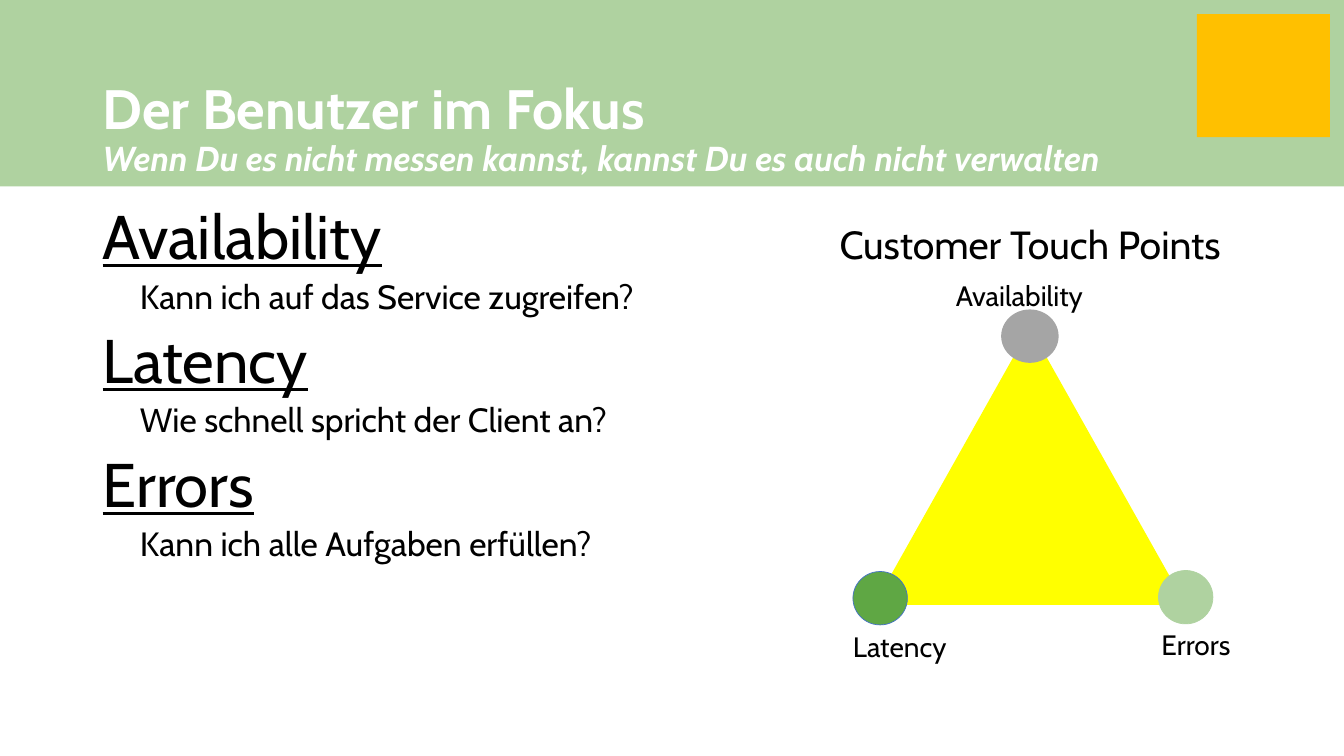
from pptx import Presentation
from pptx.dml.color import RGBColor
from pptx.enum.shapes import MSO_SHAPE
from pptx.enum.text import MSO_ANCHOR, PP_ALIGN
from pptx.util import Inches, Pt

FONT = "Cabin"
COLORS = {
    "white": "FFFFFF", "black": "000000", "header": "AFD2A0", "accent": "FFC000",
    "triangle": "FFFF00", "gray": "A5A5A5", "green": "5FA744", "blue": "4472C4",
}
QUESTIONS = [
    ("Availability", "Kann ich auf das Service zugreifen?"),
    ("Latency", "Wie schnell spricht der Client an?"),
    ("Errors", "Kann ich alle Aufgaben erfüllen?"),
]


def rgb(name):
    return RGBColor.from_string(COLORS[name])


def add_filled(slide, kind, x, y, w, h, fill, line=None):
    sp = slide.shapes.add_shape(kind, Inches(x), Inches(y), Inches(w), Inches(h))
    sp.shadow.inherit = False
    sp.fill.solid()
    sp.fill.fore_color.rgb = rgb(fill)
    if line:
        sp.line.color.rgb = rgb(line)
        sp.line.width = Pt(0.5)
    else:
        sp.line.fill.background()


def add_frame(slide, x, y, w, h, wrap=True, margins=True):
    tf = slide.shapes.add_textbox(Inches(x), Inches(y), Inches(w), Inches(h)).text_frame
    tf.word_wrap = wrap
    if not margins:
        tf.margin_left = tf.margin_right = tf.margin_top = tf.margin_bottom = 0
    return tf


def style(r, size, color="black", bold=None, italic=None, underline=None):
    f = r.font
    f.name, f.size, f.color.rgb = FONT, Pt(size), rgb(color)
    f.bold, f.italic, f.underline = bold, italic, underline


def add_header(slide, x, y, w, h):
    add_filled(slide, MSO_SHAPE.RECTANGLE, x, y, w, h, "header")
    tf = add_frame(slide, x + 0.92, y + 0.75, 11.5, 1.09)
    tf.vertical_anchor = MSO_ANCHOR.MIDDLE
    p = tf.paragraphs[0]
    p.text = ("Der Benutzer im Fokus\v"
              "Wenn Du es nicht messen kannst, kannst Du es auch nicht verwalten")
    p.line_spacing = 0.9
    title, subtitle = p.runs
    style(title, 39.6, "white", bold=True)
    style(subtitle, 24.7, "white", bold=True, italic=True)
    # Accent block in the right corner
    add_filled(slide, MSO_SHAPE.RECTANGLE, x + w - 1.46, y + 0.14, 1.32, 1.22, "accent")


def add_questions(slide, x, y, w, h):
    tf = add_frame(slide, x, y, w, h)
    for i, (term, question) in enumerate(QUESTIONS):
        p = tf.add_paragraph() if i else tf.paragraphs[0]
        p.text = term
        p.line_spacing = 0.9
        if i:
            p.space_before = Pt(10)
        style(p.runs[0], 44, underline=True)

        p = tf.add_paragraph()
        p.text = question
        p.level = 1
        p._p.get_or_add_pPr().set("marL", str(Inches(0.37)))
        p.line_spacing = 0.9
        p.space_before = Pt(5)
        style(p.runs[0], 24)


def add_touch_points(slide, x, y, w):
    # Heading
    tf = add_frame(slide, x, y, w, 0.58)
    p = tf.paragraphs[0]
    p.text = "Customer Touch Points"
    p.alignment = PP_ALIGN.CENTER
    style(p.runs[0], 28)

    # Triangle with a node at each corner
    add_filled(slide, MSO_SHAPE.ISOSCELES_TRIANGLE, x + 0.45, y + 1.11, 3.09, 2.75, "triangle")
    nodes = [
        (1.71, 0.93, 0.57, "gray", None),
        (3.27, 3.52, 0.54, "header", "header"),
        (0.24, 3.53, 0.54, "green", "blue"),
    ]
    for dx, dy, size, fill, line in nodes:
        add_filled(slide, MSO_SHAPE.OVAL, x + dx, y + dy, size, 0.53, fill, line)

    # Node labels
    labels = [("Availability", 1.26, 0.62, 1.47), ("Errors", 3.3, 4.09, 0.84),
              ("Latency", 0.24, 4.11, 1.02)]
    for text, dx, dy, width in labels:
        tf = add_frame(slide, x + dx, y + dy, width, 0.34, margins=False)
        tf.text = text
        style(tf.paragraphs[0].runs[0], 20)


def main():
    prs = Presentation()
    prs.slide_width, prs.slide_height = Inches(13.33), Inches(7.5)
    slide = prs.slides.add_slide(prs.slide_layouts[6])
    add_header(slide, 0, 0, 13.33, 1.85)
    add_questions(slide, 0.92, 2, 5.67, 4.76)
    add_touch_points(slide, 8.22, 2.14, 3.99)
    prs.save("out.pptx")


if __name__ == "__main__":
    main()
